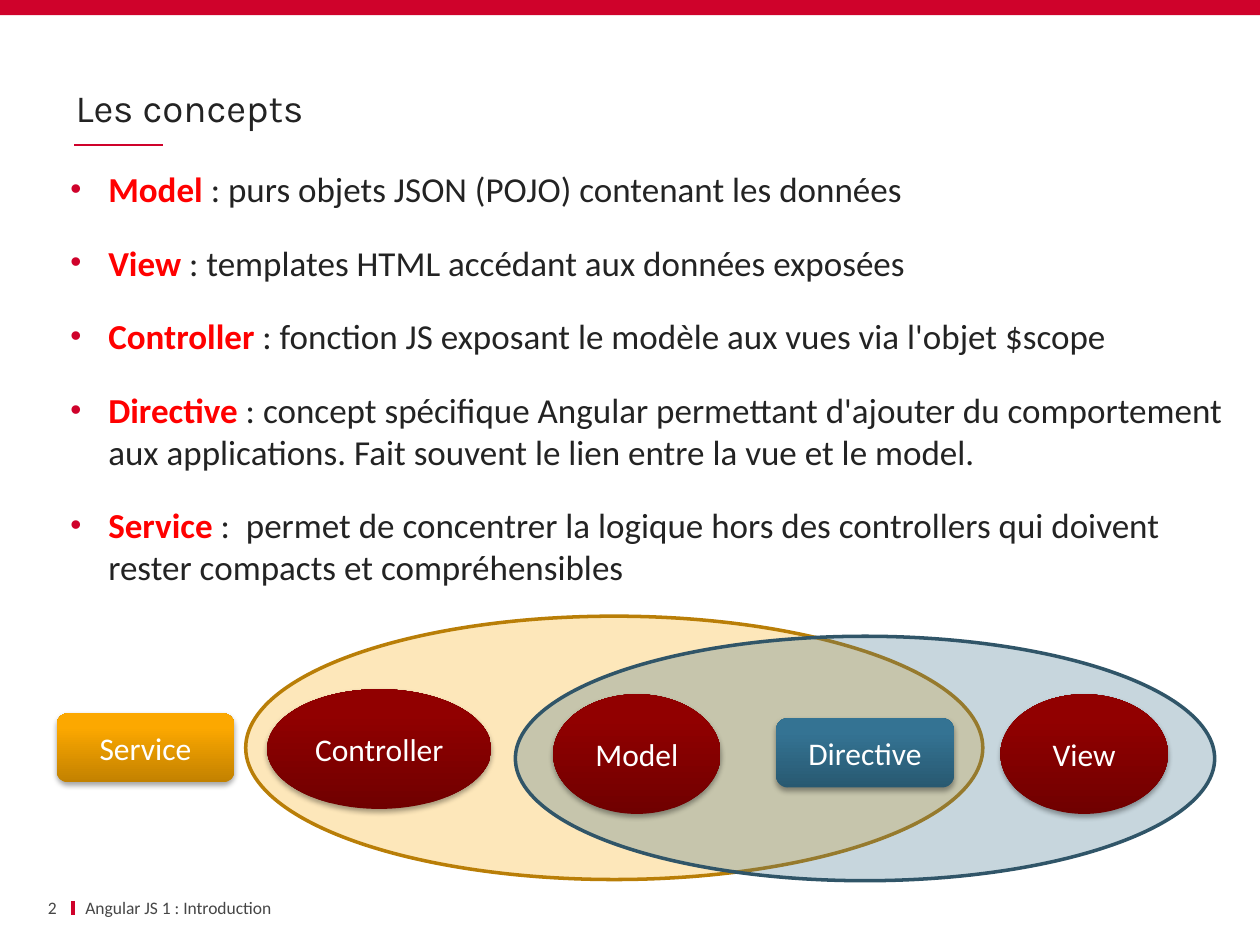
from pptx import Presentation
from pptx.dml.color import RGBColor
from pptx.enum.shapes import MSO_CONNECTOR, MSO_SHAPE
from pptx.enum.text import MSO_ANCHOR, MSO_AUTO_SIZE, PP_ALIGN
from pptx.oxml import parse_xml
from pptx.oxml.ns import nsdecls, qn
from pptx.util import Inches, Pt

OVAL, ROUND, RECT = MSO_SHAPE.OVAL, MSO_SHAPE.ROUNDED_RECTANGLE, MSO_SHAPE.RECTANGLE
LEFT, MID, RIGHT = PP_ALIGN.LEFT, PP_ALIGN.CENTER, PP_ALIGN.RIGHT

HEX = {"brand": "CF022B", "term": "FF0000", "text": "232323", "foot": "464646",
       "white": "FFFFFF", "gold": "FAAA0A", "gold edge": "B97E07",
       "blue": "41738C", "blue edge": "305568"}
# Gradient colours from bottom to top
SHADE = {"red": ("700000", "910000", "920000"),
         "blue": ("285971", "347393", "327495"),
         "gold": ("C28100", "FCA800", "FDA900")}

TITLE = "Les concepts"
TERMS = [
    ("Model", " : purs objets JSON (POJO) contenant les données"),
    ("View", " : templates HTML accédant aux données exposées"),
    ("Controller", " : fonction JS exposant le modèle aux vues via l'objet $scope"),
    ("Directive", " : concept spécifique Angular permettant d'ajouter du comportement "
                  "aux applications. Fait souvent le lien entre la vue et le model."),
    ("Service", " :  permet de concentrer la logique hors des controllers qui doivent "
                "rester compacts et compréhensibles"),
]
# Text, box, inset at the sides, alignment
FOOT = [("2", (0.13, 7.11, 0.32, 0.18), 0, RIGHT),
        ("Angular JS 1 : Introduction", (0.58, 7.11, 4.97, 0.18), 0.1, LEFT)]
# Start, end, width
RULES = [((0.58, 7.15), (0.58, 7.26), 2.25), ((0.59, 1.15), (1.29, 1.15), 1)]
# Colour, opacity in percent, box
ZONES = [("gold", 28, (1.95, 4.89, 5.85, 2.09)), ("blue", 29, (4.09, 5.05, 5.55, 1.94))]
# Text, shape, shade, box
NODES = [("Model", OVAL, "red", (4.39, 5.51, 1.33, 0.95)),
         ("View", OVAL, "red", (7.94, 5.51, 1.33, 0.95)),
         ("Controller", OVAL, "red", (2.12, 5.47, 1.78, 0.95)),
         ("Directive", ROUND, "blue", (6.16, 5.7, 1.41, 0.55)),
         ("Service", ROUND, "gold", (0.45, 5.66, 1.41, 0.55))]


def rgb(name):
    return RGBColor.from_string(HEX[name])


def box(nums):
    return [Inches(n) for n in nums]


def style(run, size, color, face="Calibri", bold=False):
    font = run.font
    font.size, font.name, font.bold = Pt(size), face, bold
    font.color.rgb = rgb(color)


def setup(frame, side, edge):
    frame.word_wrap = True
    frame.auto_size = MSO_AUTO_SIZE.NONE
    frame.margin_left = frame.margin_right = Inches(side)
    frame.margin_top = frame.margin_bottom = Inches(edge)


def label(frame, text, size, color, align, face="Calibri"):
    frame.text = text
    frame.vertical_anchor = MSO_ANCHOR.MIDDLE
    para = frame.paragraphs[0]
    para.alignment = align
    style(para.runs[0], size, color, face)
    return para


def bullet(para):
    props = para._p.get_or_add_pPr()
    props.set("marL", str(Inches(0.3)))
    props.set("indent", str(-Inches(0.3)))
    for xml in (f'<a:buClr {nsdecls("a")}><a:srgbClr val="{HEX["brand"]}"/></a:buClr>',
                f'<a:buSzPct {nsdecls("a")} val="90000"/>',
                f'<a:buFont {nsdecls("a")} typeface="Arial"/>',
                f'<a:buChar {nsdecls("a")} char="•"/>'):
        props.append(parse_xml(xml))


def relief(shape, shade):
    """Vertical gradient and soft shadow."""
    stops = "".join(f'<a:gs pos="{pos}000"><a:srgbClr val="{color}"/></a:gs>'
                    for pos, color in zip((0, 80, 100), SHADE[shade]))
    shape.line.fill.background()
    shape.shadow.inherit = False
    props = shape._element.spPr
    props.find(qn("a:ln")).addprevious(parse_xml(
        f'<a:gradFill {nsdecls("a")} rotWithShape="1"><a:gsLst>{stops}</a:gsLst>'
        '<a:lin ang="16200000" scaled="0"/></a:gradFill>'))
    props.find(qn("a:effectLst")).append(parse_xml(
        f'<a:outerShdw {nsdecls("a")} blurRad="{Pt(3.1)}" dist="{Pt(1.8)}" dir="5400000" '
        'rotWithShape="0"><a:srgbClr val="000000"><a:alpha val="35000"/></a:srgbClr>'
        '</a:outerShdw>'))


deck = Presentation()
deck.slide_width, deck.slide_height = Inches(10), Inches(7.5)
slide = deck.slides.add_slide(deck.slide_layouts[5])
shapes = slide.shapes

# Top band and rules
band = shapes.add_shape(RECT, *box((0, 0, 10, 0.12)))
band.fill.solid()
band.fill.fore_color.rgb = rgb("brand")
band.line.fill.background()
band.shadow.inherit = False
for start, end, width in RULES:
    rule = shapes.add_connector(MSO_CONNECTOR.STRAIGHT, *box(start + end))
    rule.line.color.rgb = rgb("brand")
    rule.line.width = Pt(width)
    rule._element.spPr.append(parse_xml(f'<a:effectLst {nsdecls("a")}/>'))

# Title
title = shapes.title
title.left, title.top, title.width, title.height = box((0.6, 0.69, 8.8, 0.36))
setup(title.text_frame, 0, 0.05)
label(title.text_frame, TITLE, 22, "text", LEFT, "Karla").line_spacing = 0.9

# Definitions
body = shapes.add_textbox(*box((0.56, 1.33, 9.23, 5.12))).text_frame
setup(body, 0, 0)
for i, (term, text) in enumerate(TERMS):
    para = body.add_paragraph() if i else body.paragraphs[0]
    para.space_before = Pt(18)
    bullet(para)
    for part, color, bold in ((term, "term", True), (text, "text", False)):
        run = para.add_run()
        run.text = part
        style(run, 20, color, bold=bold)

# Footer
for text, place, side, align in FOOT:
    frame = shapes.add_textbox(*box(place)).text_frame
    setup(frame, side, 0.05)
    label(frame, text, 10, "foot", align)

# Overlapping zones
for color, alpha, place in ZONES:
    zone = shapes.add_shape(OVAL, *box(place))
    zone.shadow.inherit = False
    zone.fill.solid()
    zone.fill.fore_color.rgb = rgb(color)
    tint = zone._element.spPr.find(qn("a:solidFill")).find(qn("a:srgbClr"))
    tint.append(parse_xml(f'<a:alpha {nsdecls("a")} val="{alpha}000"/>'))
    zone.line.color.rgb = rgb(color + " edge")
    zone.line.width = Pt(2)

# Concepts
for text, kind, shade, place in NODES:
    node = shapes.add_shape(kind, *box(place))
    relief(node, shade)
    label(node.text_frame, text, 18, "white", MID)

deck.save("out.pptx")
